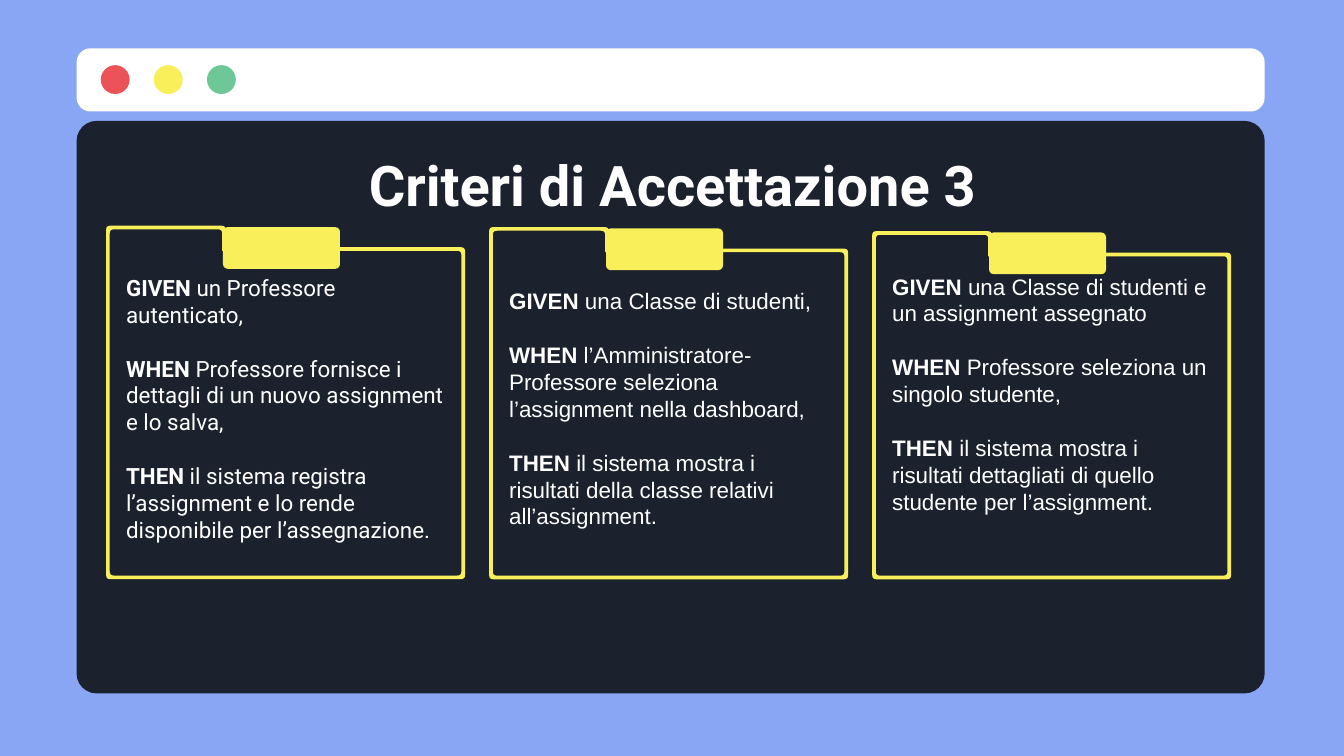
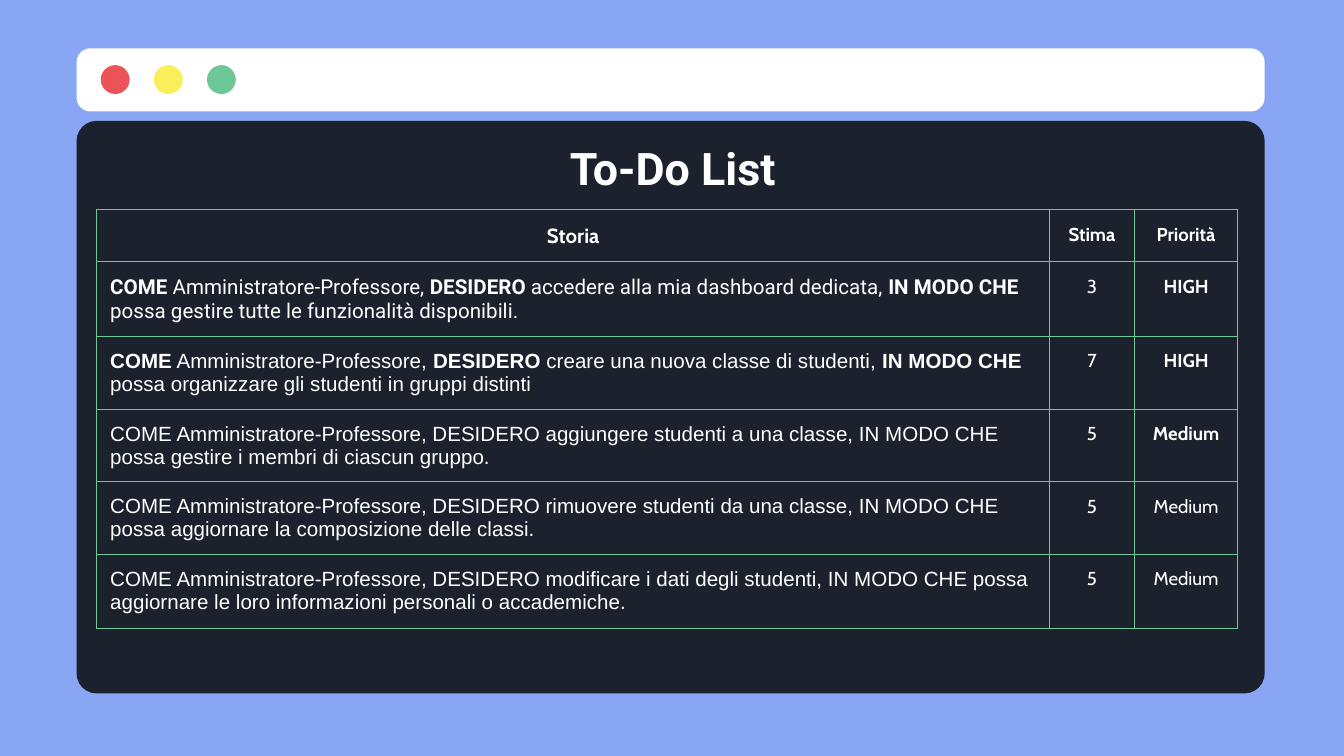
from lxml import etree
from pptx import Presentation
from pptx.dml.color import RGBColor
from pptx.enum.shapes import MSO_SHAPE
from pptx.enum.text import MSO_ANCHOR, MSO_AUTO_SIZE, PP_ALIGN
from pptx.oxml.ns import qn
from pptx.util import Inches, Pt

ROUND_RECT, OVAL = MSO_SHAPE.ROUNDED_RECTANGLE, MSO_SHAPE.OVAL
LEFT, CENTER = PP_ALIGN.LEFT, PP_ALIGN.CENTER
MIDDLE, TOP = MSO_ANCHOR.MIDDLE, MSO_ANCHOR.TOP
GROW = MSO_AUTO_SIZE.SHAPE_TO_FIT_TEXT

BLUE = RGBColor(0x88, 0xA6, 0xF3)
WHITE = RGBColor(0xFF, 0xFF, 0xFF)
DARK = RGBColor(0x1B, 0x22, 0x2D)
RED = RGBColor(0xEB, 0x53, 0x58)
YELLOW = RGBColor(0xF8, 0xEF, 0x5B)
GREEN = RGBColor(0x6D, 0xC7, 0x97)

MARGINS = dict.fromkeys(
    ("margin_left", "margin_top", "margin_right", "margin_bottom"), Inches(0.1))
FOLDER_PITCH = 2.85
FOLDER_BOTTOM = 4.31
CORNER = 0.03

FOLDERS = [
    (1.68, 1.99, 2.32, "Roboto", [
        "*GIVEN* un Professore autenticato,",
        "*WHEN* Professore fornisce i dettagli di un nuovo assignment e lo salva,",
        "*THEN* il sistema registra l’assignment e lo rende disponibile per l’assegnazione.",
    ]),
    (1.69, 2.09, 1.92, "Arial", [
        "*GIVEN* una Classe di studenti,",
        "*WHEN* l’Amministratore-Professore seleziona l’assignment nella dashboard,",
        "*THEN* il sistema mostra i risultati della classe relativi all’assignment.",
    ]),
    (1.72, 1.98, 1.92, "Arial", [
        "*GIVEN* una Classe di studenti e un assignment assegnato",
        "*WHEN* Professore seleziona un singolo studente,",
        "*THEN* il sistema mostra i risultati dettagliati di quello studente per l’assignment.",
    ]),
]

STORIES = [
    ("Roboto", "*COME* Amministratore-Professore, *DESIDERO* accedere alla mia dashboard "
     "dedicata, *IN MODO CHE* possa gestire tutte le funzionalità disponibili.", "3", "*HIGH*"),
    ("Arial", "*COME* Amministratore-Professore, *DESIDERO* creare una nuova classe di "
     "studenti, *IN MODO CHE *possa organizzare gli studenti in gruppi distinti", "7", "*HIGH*"),
    ("Arial", "COME Amministratore-Professore, DESIDERO aggiungere studenti a una classe, "
     "IN MODO CHE possa gestire i membri di ciascun gruppo.", "5", "*Medium*"),
    ("Arial", "COME Amministratore-Professore, DESIDERO rimuovere studenti da una classe, "
     "IN MODO CHE possa aggiornare la composizione delle classi.", "5", "Medium"),
    ("Arial", "COME Amministratore-Professore, DESIDERO modificare i dati degli studenti, "
     "IN MODO CHE possa aggiornare le loro informazioni personali o accademiche.", "5", "Medium"),
]
COLUMN_WIDTHS = [7.09, 0.63, 0.77]
ROW_HEIGHTS = [0.34, 0.5, 0.5, 0.5, 0.5, 0.55]


def set_attrs(obj, values):
    for name, value in values.items():
        setattr(obj, name, value)


def write(p, text, font, size, **fmt):
    set_attrs(p, fmt)
    for i, part in enumerate(text.split("*")):
        if part:
            r = p.add_run()
            r.text = part
            set_attrs(r.font, {"name": font, "size": Pt(size), "bold": i % 2 == 1})
            r.font.color.rgb = WHITE


def paint(sp, color):
    sp.shadow.inherit = False
    sp.fill.solid()
    sp.fill.fore_color.rgb = color
    sp.line.fill.background()


def add_box(shapes, kind, color, box, adj=None):
    sp = shapes.add_shape(kind, *map(Inches, box))
    if adj is not None:
        sp.adjustments[0] = adj
    paint(sp, color)


def add_window(s):
    bar = s.shapes.add_group_shape().shapes
    add_box(bar, ROUND_RECT, WHITE, (0.57, 0.36, 8.84, 0.47), 0.22)
    for i, color in enumerate((RED, YELLOW, GREEN)):
        add_box(bar, OVAL, color, (0.75 + 0.395 * i, 0.485, 0.215, 0.215))
    add_box(s.shapes, ROUND_RECT, DARK, (0.57, 0.9, 8.84, 4.26), 0.035)


def add_title(s, text, top, size):
    sp = s.shapes.title
    s.shapes.element.append(sp.element)
    set_attrs(sp, {"left": Inches(0.79), "top": Inches(top),
                   "width": Inches(8.43), "height": Inches(0.62)})
    tf = sp.text_frame
    set_attrs(tf, {"vertical_anchor": MIDDLE, "word_wrap": True, **MARGINS})
    write(tf.paragraphs[0], f"*{text}*", "Roboto", size, alignment=CENTER)


def new_slide(prs, title, top, size):
    s = prs.slides.add_slide(prs.slide_layouts[5])
    add_window(s)
    add_title(s, title, top, size)
    return s


def toward(start, end, distance):
    dx, dy = end[0] - start[0], end[1] - start[1]
    k = distance / max(abs(dx), abs(dy))
    return start[0] + dx * k, start[1] + dy * k


def folder_outline(left, top, right, bottom, notch_x, notch_y):
    corners = [(left, top), (notch_x, top), (notch_x, notch_y),
               (right, notch_y), (right, bottom), (left, bottom)]
    points = []
    for i, corner in enumerate(corners):
        if i == 2:
            points.append(corner)
            continue
        a = toward(corner, corners[i - 1], CORNER)
        b = toward(corner, corners[(i + 1) % 6], CORNER)
        for t in (0, 0.25, 0.5, 0.75, 1):
            points.append(tuple((1 - t) ** 2 * u + 2 * t * (1 - t) * v + t * t * w
                                for u, v, w in zip(a, corner, b)))
    return [(Inches(x), Inches(y)) for x, y in points]


def add_outlines(shapes, color, outlines):
    builder = shapes.build_freeform(*outlines[0][0])
    for i, points in enumerate(outlines):
        if i:
            builder.move_to(*points[0])
        builder.add_line_segments(points[1:], close=True)
    paint(builder.convert_to_shape(), color)


def add_folder(s, left, top):
    right, edge = left + 2.67, 0.027
    folder = s.shapes.add_group_shape().shapes
    add_box(folder, ROUND_RECT, YELLOW, (left + 0.87, top + 0.01, 0.87, 0.31), 0.11)
    add_outlines(folder, DARK, [folder_outline(
        left + 0.1, top + 0.41, right, 4.2, left + 0.94, top + 0.53)])
    outer = folder_outline(left, top, right, FOLDER_BOTTOM, left + 0.89, top + 0.16)
    inner = folder_outline(left + edge, top + edge, right - edge, FOLDER_BOTTOM - edge,
                           left + 0.89 - edge, top + 0.16 + edge)
    add_outlines(folder, YELLOW, [outer, inner])


def add_criteria(s, left, top, height, font, criteria):
    tf = s.shapes.add_textbox(*map(Inches, (left, top, 2.56, height))).text_frame
    set_attrs(tf, {"word_wrap": True, "auto_size": GROW})
    for i, text in enumerate(criteria):
        p = tf.add_paragraph() if i else tf.paragraphs[0]
        write(p, text, font, 12, alignment=LEFT, line_spacing=Pt(14.4),
              space_before=Pt(14.4 if i else 0))


def add_borders(cell):
    tc_pr = cell._tc.get_or_add_tcPr()
    for side in ("a:lnL", "a:lnR", "a:lnT", "a:lnB"):
        ln = etree.SubElement(tc_pr, qn(side), w=str(Pt(0.75)))
        fill = etree.SubElement(ln, qn("a:solidFill"))
        etree.SubElement(fill, qn("a:srgbClr"), val=str(GREEN))


def add_cell(cell, text, font, size, align, after):
    add_borders(cell)
    cell.fill.background()
    set_attrs(cell, {"vertical_anchor": TOP, **MARGINS})
    write(cell.text_frame.paragraphs[0], text, font, size,
          alignment=align, space_after=Pt(after))


def add_story_table(s):
    rows = [("Cabin", "*Storia*", "*Stima*", "*Priorità*")] + STORIES
    table = s.shapes.add_table(len(rows), len(COLUMN_WIDTHS), *map(
        Inches, (0.72, 1.56, sum(COLUMN_WIDTHS), sum(ROW_HEIGHTS)))).table
    set_attrs(table, {"first_row": False, "horz_banding": False})
    for column, width in zip(table.columns, COLUMN_WIDTHS):
        column.width = Inches(width)
    for i, (font, story, *values) in enumerate(rows):
        table.rows[i].height = Inches(ROW_HEIGHTS[i])
        add_cell(table.cell(i, 0), story, font, 11, LEFT if i else CENTER, 0)
        after = 16 if i < len(rows) - 1 else 0
        for j, value in enumerate(values, 1):
            add_cell(table.cell(i, j), value, "Cabin", 10, CENTER, after)


def main():
    prs = Presentation()
    set_attrs(prs, {"slide_width": Inches(10), "slide_height": Inches(5.625)})
    background = prs.slide_master.background.fill
    background.solid()
    background.fore_color.rgb = BLUE

    s = new_slide(prs, "Criteri di Accettazione 3", 1.06, 30)
    for i, (top, text_top, height, font, criteria) in enumerate(FOLDERS):
        left = 0.79 + FOLDER_PITCH * i
        add_folder(s, left, top)
        add_criteria(s, left + 0.05, text_top, height, font, criteria)

    s = new_slide(prs, "To-Do List", 0.94, 24)
    add_story_table(s)
    prs.save("out.pptx")


if __name__ == "__main__":
    main()
